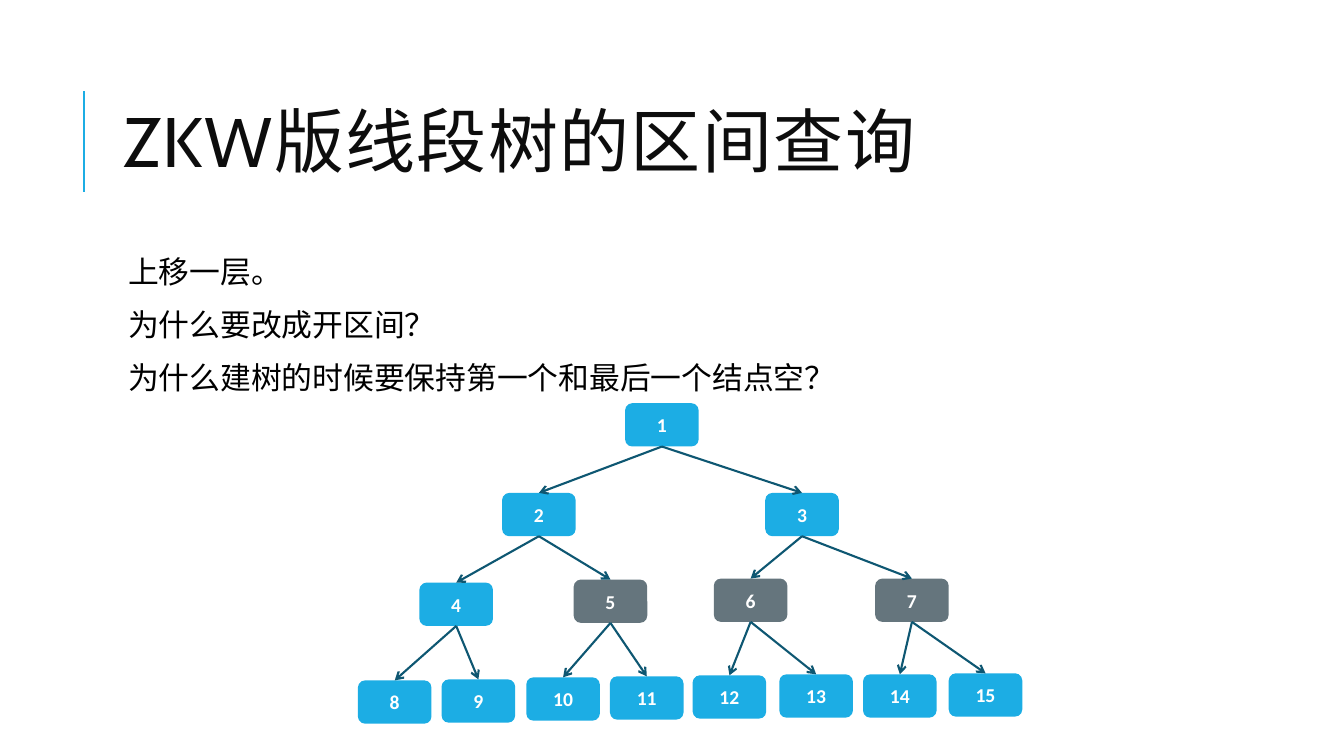
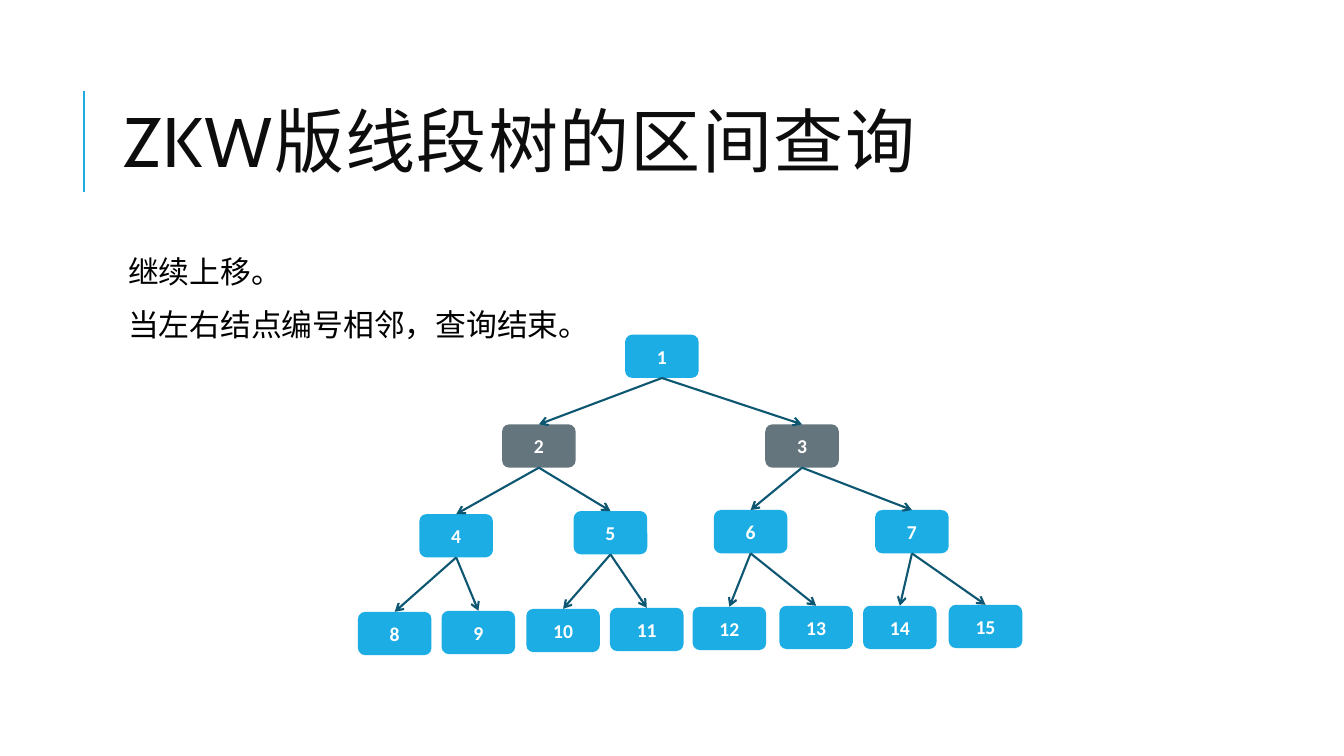
from lxml.etree import SubElement
from pptx import Presentation
from pptx.dml.color import RGBColor
from pptx.enum.shapes import MSO_CONNECTOR as Link, MSO_SHAPE as Shape
from pptx.enum.text import MSO_ANCHOR as Anchor, MSO_AUTO_SIZE as Auto, PP_ALIGN as Align
from pptx.oxml.ns import qn
from pptx.util import Inches, Pt

BLUE, GRAY, NAVY = "1CADE4", "65757D", "0E5772"
INK, BLACK, WHITE = "0D0D0D", "000000", "FFFFFF"

TITLE = "ZKW版线段树的区间查询"
# lines of text, top of the tree, numbers of the gray nodes
SLIDES = [
    (["上移一层。", "为什么要改成开区间？", "为什么建树的时候要保持第一个和最后一个结点空？"],
     4.0, {5, 6, 7}),
    (["继续上移。", "当左右结点编号相邻，查询结束。"], 3.32, {2, 3}),
]
# left edge and drop below the root, for nodes 1 to 15
NODES = [
    (6.2, 0),
    (4.98, 0.89), (7.59, 0.89),
    (4.16, 1.78), (5.69, 1.75), (7.08, 1.74), (8.68, 1.74),
    (3.55, 2.75), (4.38, 2.74), (5.22, 2.72), (6.05, 2.71),
    (6.87, 2.7), (7.73, 2.69), (8.56, 2.69), (9.41, 2.68),
]
NODE_W, NODE_H = 0.73, 0.43
TITLE_BOX = (1.12, 0.64, 10.63, 1.64)
BODY_BOX = (1.12, 2.5, 10.63, 4.4)
TOP, BOTTOM = 0, 2  # connection sites of a node


def color(text):
    """Turn a hex string into a colour."""
    return RGBColor.from_string(text)


def style(font, size, name, ink, bold=False):
    """Set the look of a font."""
    font.size, font.name, font.bold = Pt(size), name, bold
    font.color.rgb = color(ink)


def place(shape, box):
    """Move a placeholder to a box and stop it from shrinking text."""
    shape.left, shape.top, shape.width, shape.height = map(Inches, box)
    shape.text_frame.auto_size = Auto.NONE


def add_line(shapes, start, end, ink):
    """Draw a plain line without shadow."""
    line = shapes.add_connector(Link.STRAIGHT, *start, *end)
    line.line.color.rgb = color(ink)
    line.line.width = Pt(1.5)
    SubElement(line.element.spPr, qn("a:effectLst"))
    return line


def add_title(slide):
    """Fill the title and draw the bar beside it."""
    x = Inches(0.83)
    add_line(slide.shapes, (x, Inches(1.9)), (x, Inches(0.9)), BLUE)
    title = slide.shapes.title
    place(title, TITLE_BOX)
    title.text_frame.vertical_anchor = Anchor.MIDDLE
    par = title.text_frame.paragraphs[0]
    par.alignment, par.line_spacing = Align.LEFT, 0.8
    run = par.add_run()
    run.text = TITLE
    style(run.font, 50, "Cabin", INK)
    run._r.get_or_add_rPr().set("spc", "100")


def add_body(slide, lines):
    """Fill the body with lines that have a blank bullet."""
    body = slide.placeholders[1]
    place(body, BODY_BOX)
    frame = body.text_frame
    frame.vertical_anchor = Anchor.TOP
    frame.margin_left = frame.margin_right = Inches(0.05)
    frame.margin_top = frame.margin_bottom = Inches(0.05)
    frame.text = "\n".join(lines)
    for par in frame.paragraphs:
        par.line_spacing = 0.9
        par.space_before, par.space_after = Pt(12), Pt(2)
        props = par._p.get_or_add_pPr()
        props.set("marL", str(Inches(0.1)))
        props.set("indent", str(Inches(-0.1)))
        tint = SubElement(props, qn("a:buClr"))
        SubElement(tint, qn("a:srgbClr"), val=BLUE)
        SubElement(props, qn("a:buChar"), char=" ")
        style(par.font, 22, "Calibri", BLACK)


def add_node(shapes, num, box, fill):
    """Draw one numbered node."""
    node = shapes.add_shape(Shape.ROUNDED_RECTANGLE, *map(Inches, box))
    node.shadow.inherit = False
    node.fill.solid()
    node.fill.fore_color.rgb = color(fill)
    node.line.fill.background()
    frame = node.text_frame
    frame.text = str(num)
    frame.vertical_anchor = Anchor.MIDDLE
    par = frame.paragraphs[0]
    par.alignment = Align.CENTER
    style(par.font, 14, "Calibri", WHITE, True)
    return node


def add_arrow(shapes, node, child):
    """Join a node to its child with an arrow."""
    start = node.left + node.width // 2, node.top + node.height
    end = child.left + child.width // 2, child.top
    arrow = add_line(shapes, start, end, NAVY)
    arrow.begin_connect(node, BOTTOM)
    arrow.end_connect(child, TOP)
    SubElement(arrow.line._get_or_add_ln(), qn("a:tailEnd"), type="arrow")


def add_tree(slide, top, grays):
    """Draw the tree as a group; node n hangs below node n // 2."""
    shapes = slide.shapes.add_group_shape().shapes
    nodes = {}
    for num, (left, drop) in enumerate(NODES, 1):
        box = left, top + drop, NODE_W, NODE_H
        nodes[num] = add_node(shapes, num, box, GRAY if num in grays else BLUE)
    for num in range(2, len(NODES) + 1):
        add_arrow(shapes, nodes[num // 2], nodes[num])


def main():
    """Build and save the slides."""
    deck = Presentation()
    deck.slide_width, deck.slide_height = Inches(13.33), Inches(7.5)
    for lines, top, grays in SLIDES:
        slide = deck.slides.add_slide(deck.slide_layouts[1])
        add_title(slide)
        add_body(slide, lines)
        add_tree(slide, top, grays)
    deck.save("out.pptx")


main()
